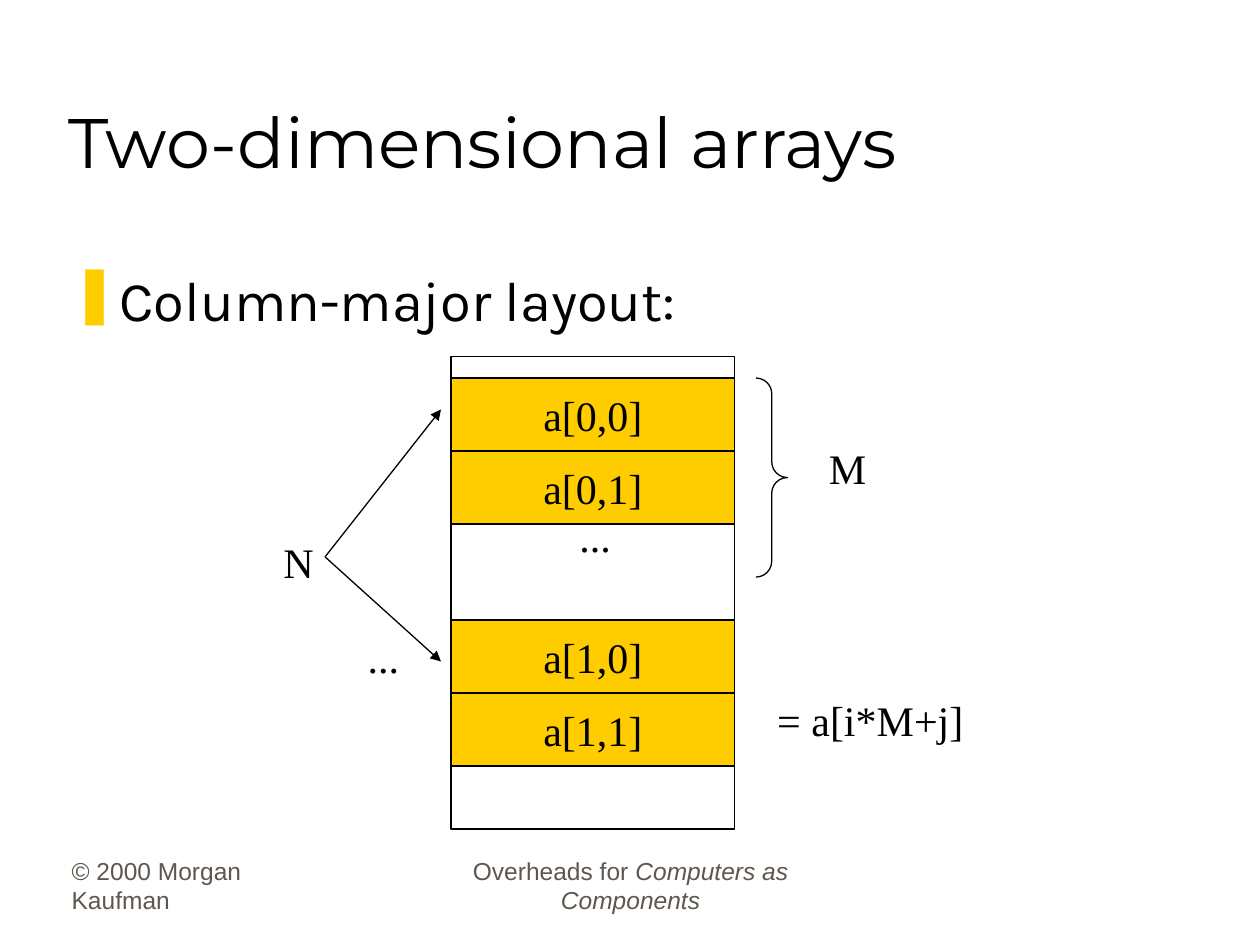
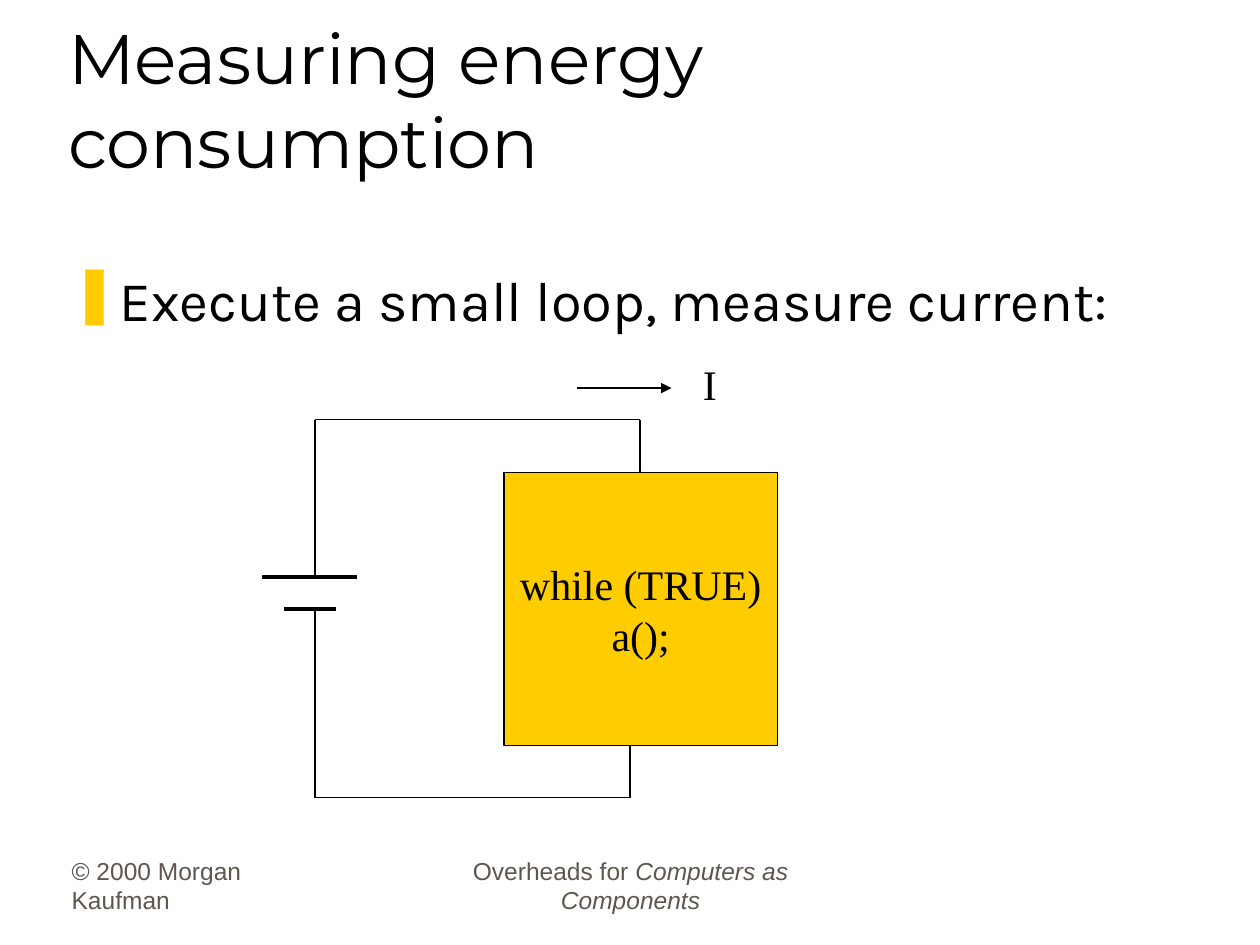
from typing import NamedTuple

from lxml import etree
from pptx import Presentation
from pptx import util as u
from pptx.dml.color import RGBColor
from pptx.enum import shapes, text
from pptx.oxml import ns

BLACK, YELLOW, GREY = "000000", "FFCC00", "5E574E"
TITLE_FONT, BODY_FONT, FOOTER_FONT, DIAGRAM_FONT = "Montserrat", "Karla", "Arial", "Times New Roman"
THIN, THICK = 0.75, 2.25
LEFT, CENTER = text.PP_ALIGN.LEFT, text.PP_ALIGN.CENTER
TOP, MIDDLE, BOTTOM = text.MSO_ANCHOR.TOP, text.MSO_ANCHOR.MIDDLE, text.MSO_ANCHOR.BOTTOM


class Box(NamedTuple):
    left: float
    top: float
    width: float
    height: float

    def lengths(self) -> list:
        return [u.Inches(value) for value in self]


class Point(NamedTuple):
    x: float
    y: float


class Label(NamedTuple):
    words: str
    box: Box


class Footer(NamedTuple):
    plain: str
    italic: str
    box: Box
    align: text.PP_ALIGN


FOOTERS = [
    Footer("© 2000 Morgan Kaufman", "", Box(0.47, 6.81, 2.08, 0.5), LEFT),
    Footer("Overheads for ", "Computers as Components", Box(3.42, 6.81, 3.17, 0.5), CENTER),
]


def color(value: str) -> RGBColor:
    return RGBColor.from_string(value)


def style(paragraph, font_name: str, size: float, align=LEFT, hex_color: str = BLACK) -> None:
    paragraph.alignment = align
    font = paragraph.font
    font.name, font.size = font_name, u.Pt(size)
    font.color.rgb = color(hex_color)


def set_frame(frame, anchor, wrap: bool = True, inset: Point = Point(0.1, 0.05)) -> None:
    frame.auto_size = text.MSO_AUTO_SIZE.NONE
    frame.word_wrap = wrap
    frame.vertical_anchor = anchor
    frame.margin_left = frame.margin_right = u.Inches(inset.x)
    frame.margin_top = frame.margin_bottom = u.Inches(inset.y)


def add_footer(slide, footer: Footer) -> None:
    frame = slide.shapes.add_textbox(*footer.box.lengths()).text_frame
    set_frame(frame, BOTTOM)
    paragraph = frame.paragraphs[0]
    style(paragraph, FOOTER_FONT, 14, footer.align, GREY)
    paragraph.add_run().text = footer.plain
    if footer.italic:
        run = paragraph.add_run()
        run.text = footer.italic
        run.font.italic = True


def add_bullet(paragraph) -> None:
    """Give the paragraph a yellow bar with a hanging indent."""
    properties = paragraph._p.get_or_add_pPr()
    properties.set("marL", str(u.Inches(0.38)))
    properties.set("indent", str(u.Inches(-0.38)))
    bullet_color = etree.SubElement(properties, ns.qn("a:buClr"))
    etree.SubElement(bullet_color, ns.qn("a:srgbClr"), val=YELLOW)
    etree.SubElement(properties, ns.qn("a:buChar"), char="❚")


def add_slide(presentation, title: str, point: str):
    """Add a slide with the shared footers, title and one bullet point."""
    slide = presentation.slides.add_slide(presentation.slide_layouts[5])
    heading = slide.shapes.title
    heading.left, heading.top, heading.width, heading.height = Box(0.44, 0.25, 8.5, 1.25).lengths()
    heading.text_frame.text = title
    set_frame(heading.text_frame, BOTTOM, inset=Point(0.1, 0.05))
    style(heading.text_frame.paragraphs[0], TITLE_FONT, 40)
    for footer in FOOTERS:
        add_footer(slide, footer)

    frame = slide.shapes.add_textbox(*Box(0.5, 2.06, 8.94, 0.8).lengths()).text_frame
    set_frame(frame, TOP, inset=Point(0.07, 0.05))
    paragraph = frame.paragraphs[0]
    paragraph.text = point
    add_bullet(paragraph)
    style(paragraph, BODY_FONT, 32)
    return slide


def add_outline(slide, preset, box: Box):
    """Add an unfilled shape with a thin black line."""
    shape = slide.shapes.add_shape(preset, *box.lengths())
    shape.shadow.inherit = False
    shape.fill.background()
    shape.line.color.rgb = color(BLACK)
    shape.line.width = u.Pt(THIN)
    return shape


def add_block(slide, lines: list[str], box: Box) -> None:
    """Add a yellow rectangle with centred lines of text."""
    shape = add_outline(slide, shapes.MSO_SHAPE.RECTANGLE, box)
    shape.fill.solid()
    shape.fill.fore_color.rgb = color(YELLOW)
    shape.text_frame.text = "\n".join(lines)
    set_frame(shape.text_frame, MIDDLE, wrap=False)
    for paragraph in shape.text_frame.paragraphs:
        style(paragraph, DIAGRAM_FONT, 24, CENTER)


def add_label(slide, label: Label) -> None:
    frame = slide.shapes.add_textbox(*label.box.lengths()).text_frame
    frame.text = label.words
    set_frame(frame, TOP, wrap=False)
    frame.auto_size = text.MSO_AUTO_SIZE.SHAPE_TO_FIT_TEXT
    style(frame.paragraphs[0], DIAGRAM_FONT, 24)


def add_line(slide, start: Point, end: Point, width: float = THIN, arrow: bool = False) -> None:
    ends = [u.Inches(value) for value in (*start, *end)]
    connector = slide.shapes.add_connector(shapes.MSO_CONNECTOR.STRAIGHT, *ends)
    connector.line.color.rgb = color(BLACK)
    connector.line.width = u.Pt(width)
    if arrow:
        etree.SubElement(connector.line._get_or_add_ln(), ns.qn("a:tailEnd"), type="triangle")
    etree.SubElement(connector._element.spPr, ns.qn("a:effectLst"))


def add_wire(slide, *corners: Point) -> None:
    for start, end in zip(corners, corners[1:]):
        add_line(slide, start, end)


def build_arrays_slide(presentation) -> None:
    slide = add_slide(presentation, "Two-dimensional arrays", "Column-major layout:")
    memory = Box(3.58, 2.83, 2.25, 3.75)
    cell_height = 0.58
    for row, row_top in enumerate((3, 4.92)):
        for column in range(2):
            cell = Box(memory.left, row_top + column * cell_height, memory.width, cell_height)
            add_block(slide, [f"a[{row},{column}]"], cell)
    add_outline(slide, shapes.MSO_SHAPE.RECTANGLE, memory)

    brace = add_outline(slide, shapes.MSO_SHAPE.RIGHT_BRACE, Box(6, 3, 0.25, 1.58))
    brace.adjustments[0] = 0.5
    for tip in (Point(3.5, 3.25), Point(3.5, 5.25)):
        add_line(slide, Point(2.58, 4.42), tip, arrow=True)
    for label in (
        Label("= a[i*M+j]", Box(6.07, 5.46, 1.68, 0.5)),
        Label("...", Box(4.5, 4, 0.45, 0.5)),
        Label("M", Box(6.48, 3.46, 0.49, 0.5)),
        Label("...", Box(2.82, 4.96, 0.45, 0.5)),
        Label("N", Box(2.15, 4.21, 0.44, 0.5)),
    ):
        add_label(slide, label)


def build_energy_slide(presentation) -> None:
    slide = add_slide(presentation, "Measuring energy consumption",
                      "Execute a small loop, measure current:")
    processor = Box(4, 3.75, 2.17, 2.17)
    add_block(slide, ["while (TRUE)", "a();"], processor)

    battery_x, plus_y, minus_y = 2.5, 4.58, 4.83
    add_line(slide, Point(2.08, plus_y), Point(2.83, plus_y), THICK)
    add_line(slide, Point(2.25, minus_y), Point(2.67, minus_y), THICK)
    add_wire(slide, Point(battery_x, plus_y), Point(battery_x, 3.33),
             Point(5.08, 3.33), Point(5.08, processor.top))
    add_wire(slide, Point(battery_x, minus_y), Point(battery_x, 6.33),
             Point(5, 6.33), Point(5, processor.top + processor.height))

    add_line(slide, Point(4.58, 3.08), Point(5.33, 3.08), arrow=True)
    add_label(slide, Label("I", Box(5.48, 2.8, 0.31, 0.5)))


def main() -> None:
    presentation = Presentation()
    presentation.slide_width, presentation.slide_height = u.Inches(10), u.Inches(7.5)
    build_arrays_slide(presentation)
    build_energy_slide(presentation)
    presentation.save("out.pptx")


if __name__ == "__main__":
    main()
